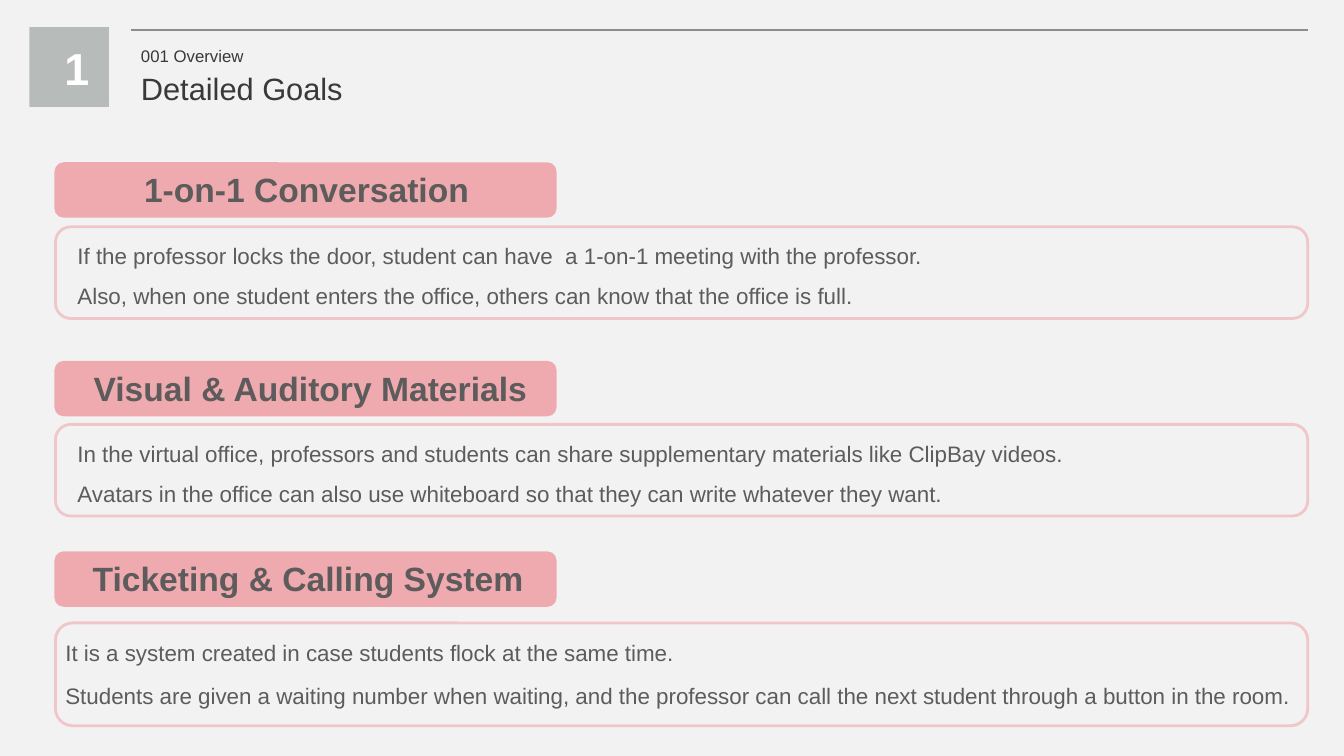
from dataclasses import dataclass

from lxml import etree
from pptx import Presentation
from pptx import util as u
from pptx.dml.color import RGBColor
from pptx.enum import shapes, text
from pptx.oxml import ns


@dataclass(frozen=True)
class Theme:
    font: str = "Arial"
    back: str = "F2F2F2"
    rule: str = "898F8D"
    badge: str = "B7BBB9"
    white: str = "FFFFFF"
    head: str = "3A3838"
    body: str = "5D5B5B"
    pink: str = "ED636D"
    small: int = 12
    copy: int = 16
    title: int = 22
    goal: int = 24
    digit: int = 32


@dataclass(frozen=True)
class Goal:
    name: str
    lines: tuple[str, ...]
    top: float
    left: float  # left edge of the name
    box: float  # top of the outlined box
    high: float  # height of the outlined box
    inset: float  # text offset from the box, across
    drop: float  # text offset from the box, down
    lead: float = 1.5
    gap: float = 0


THEME = Theme()
EDGE = 0.55
GOALS = (
    Goal("1-on-1 Conversation",
         ("If the professor locks the door, student can have  a 1-on-1 meeting with the professor.",
          "Also, when one student enters the office, others can know that the office is full."),
         1.61, 1.33, 2.25, 0.91, 0.12, -0.03),
    Goal("Visual & Auditory Materials",
         ("In the virtual office, professors and students can share supplementary materials like ClipBay videos.",
          "Avatars in the office can also use whiteboard so that they can write whatever they want."),
         3.58, 0.83, 4.21, 0.91, 0.12, -0.03),
    Goal("Ticketing & Calling System",
         ("It is a system created in case students flock at the same time.",
          "Students are given a waiting number when waiting, and the professor can call "
          "the next student through a button in the room."),
         5.47, 0.82, 6.18, 1.02, 0, 0.11, lead=1, gap=11.5),
)


def fade(part, share: int) -> None:
    """Set the opacity, in percent, of a solid fill or line."""
    tone = next(part.iter(ns.qn("a:srgbClr")))
    etree.SubElement(tone, ns.qn("a:alpha")).set("val", str(share * 1000))


def write(slide, lines: tuple[str, ...], left: float, top: float, wide: float, high: float, *,
          size: int, color: str, bold: bool = False, align=text.PP_ALIGN.LEFT,
          wrap: bool = True, lead: float = 1, gap: float = 0) -> None:
    box = slide.shapes.add_textbox(*map(u.Inches, (left, top, wide, high)))
    frame = box.text_frame
    frame.word_wrap = wrap
    for i, line in enumerate(lines):
        para = frame.paragraphs[0] if i == 0 else frame.add_paragraph()
        para.alignment = align
        para.line_spacing = lead
        para.space_before = u.Pt(gap if i else 0)
        run = para.add_run()
        run.text = line
        font = run.font
        font.name, font.size, font.bold = THEME.font, u.Pt(size), bold
        font.color.rgb = RGBColor.from_string(color)


def block(slide, kind, left: float, top: float, wide: float, high: float, *,
          fill: str = "", line: str = "", alpha: int = 100) -> None:
    """Draw a shape that has either a fill or an outline."""
    shape = slide.shapes.add_shape(kind, *map(u.Inches, (left, top, wide, high)))
    shape.shadow.inherit = False
    if fill:
        shape.fill.solid()
        shape.fill.fore_color.rgb = RGBColor.from_string(fill)
        shape.line.fill.background()
    else:
        shape.fill.background()
        shape.line.color.rgb = RGBColor.from_string(line)
        shape.line.width = u.Pt(2)
    if alpha < 100:
        fade(shape.element.spPr, alpha)


def header(slide) -> None:
    rule = slide.shapes.add_connector(
        shapes.MSO_CONNECTOR.STRAIGHT, *map(u.Inches, (1.3, 0.3, 12.97, 0.3)))
    rule.line.color.rgb = RGBColor.from_string(THEME.rule)
    rule.line.width = u.Pt(1.5)
    etree.SubElement(rule.element.spPr, ns.qn("a:effectLst"))
    block(slide, shapes.MSO_SHAPE.RECTANGLE, 0.29, 0.27, 0.79, 0.79, fill=THEME.badge)
    write(slide, ("1",), 0.54, 0.35, 0.43, 0.64, size=THEME.digit, color=THEME.white,
          bold=True, align=text.PP_ALIGN.CENTER, wrap=False)
    write(slide, ("001 Overview",), 1.3, 0.4, 1.45, 0.3, size=THEME.small, color=THEME.head)
    write(slide, ("Detailed Goals",), 1.3, 0.64, 2.23, 0.47, size=THEME.title, color=THEME.head)


def section(slide, goal: Goal) -> None:
    kind = shapes.MSO_SHAPE.ROUNDED_RECTANGLE
    block(slide, kind, 0.54, goal.top, 4.98, 0.55, fill=THEME.pink, alpha=50)
    write(slide, (goal.name,), goal.left, goal.top + 0.02, 5.42, 0.5,
          size=THEME.goal, color=THEME.body, bold=True)
    block(slide, kind, EDGE, goal.box, 12.42, goal.high, line=THEME.pink, alpha=30)
    write(slide, goal.lines, EDGE + goal.inset, goal.box + goal.drop, 12.67, 0.85,
          size=THEME.copy, color=THEME.body, align=text.PP_ALIGN.JUSTIFY,
          lead=goal.lead, gap=goal.gap)


def main() -> None:
    deck = Presentation()
    deck.slide_width, deck.slide_height = u.Inches(13.33), u.Inches(7.5)
    slide = deck.slides.add_slide(deck.slide_layouts[6])
    back = slide.background.fill
    back.solid()
    back.fore_color.rgb = RGBColor.from_string(THEME.back)
    header(slide)
    for goal in GOALS:
        section(slide, goal)
    deck.save("out.pptx")


if __name__ == "__main__":
    main()
